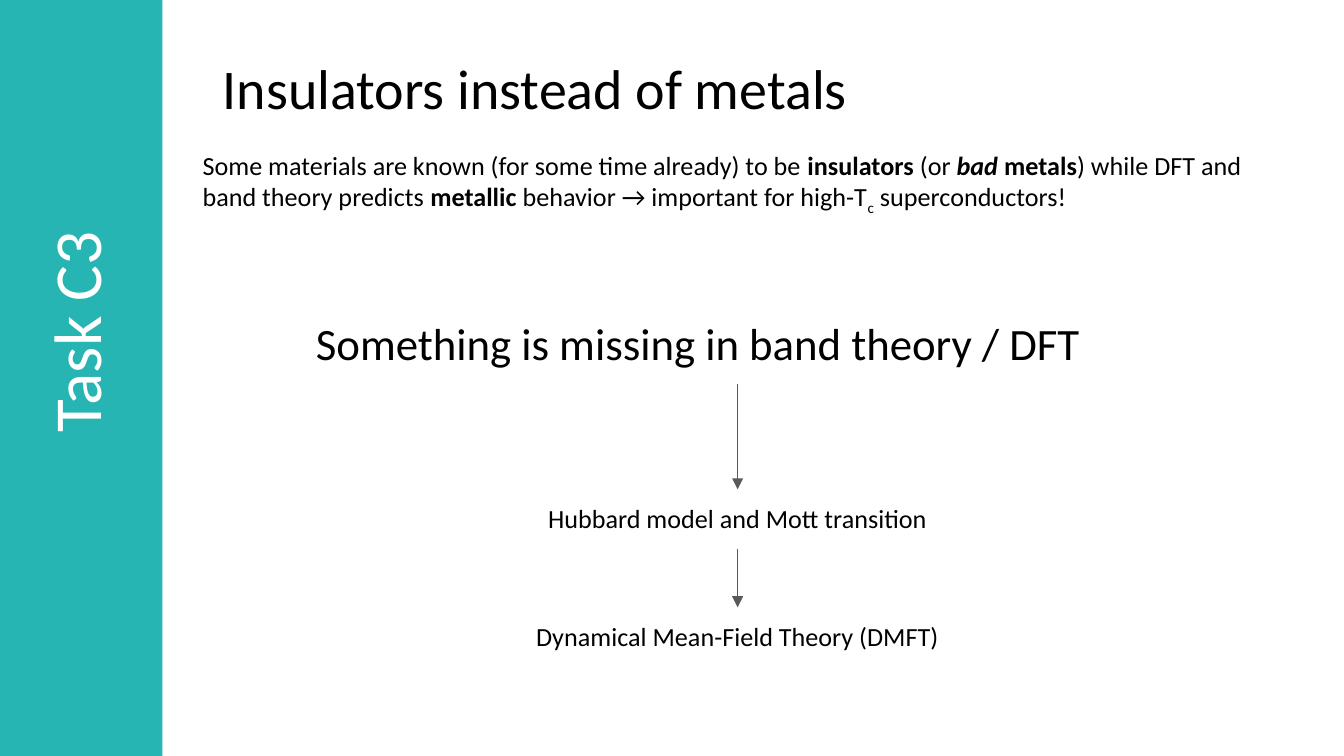
from lxml import etree
from pptx import Presentation
from pptx.dml.color import RGBColor
from pptx.enum.shapes import MSO_CONNECTOR, MSO_SHAPE
from pptx.enum.text import MSO_ANCHOR, PP_ALIGN
from pptx.oxml.ns import qn
from pptx.util import Cm, Pt

RECTANGLE = MSO_SHAPE.RECTANGLE
STRAIGHT = MSO_CONNECTOR.STRAIGHT
MIDDLE = MSO_ANCHOR.MIDDLE
LEFT, CENTER = PP_ALIGN.LEFT, PP_ALIGN.CENTER

COLORS = {"band": "27B5B3", "label": "FFFFFF", "text": "000000", "arrow": "595959"}
FONT = "Calibri"
SLIDE_WIDTH, SLIDE_HEIGHT = 25.4, 14.29
INSET = 0.25

# Run formats
PLAIN = {}
BOLD = {"bold": True}
BOLD_ITALIC = {"bold": True, "italic": True}
SUBSCRIPT = "-25000"

INTRO = [
    ("Some materials are known (for some time already) to be ", PLAIN),
    ("insulators ", BOLD),
    ("(or ", PLAIN),
    ("bad", BOLD_ITALIC),
    (" metals", BOLD),
    (") while DFT and band theory predicts ", PLAIN),
    ("metallic", BOLD),
    (" behavior → important for high-T", PLAIN),
    ("c", SUBSCRIPT),
    (" superconductors!", PLAIN),
]

# Reasoning chain: centre line, and each step's text, width and top
CHAIN_X = 13.94
STEP_HEIGHT = 1.12
STEPS = [
    ("Hubbard model and Mott transition", 8.28, 9.25),
    ("Dynamical Mean-Field Theory (DMFT)", 8.51, 11.48),
]


def color(name):
    return RGBColor.from_string(COLORS[name])


def add_run(paragraph, text, size, ink, style):
    run = paragraph.add_run()
    run.text = text
    run.font.color.rgb = color(ink)
    formats = {"name": FONT, "size": Pt(size)}
    if style == SUBSCRIPT:
        run._r.get_or_add_rPr().set("baseline", SUBSCRIPT)
    else:
        formats.update(style)
    for attribute, value in formats.items():
        setattr(run.font, attribute, value)


def add_text(slide, box, runs, size, align=LEFT, ink="text", inset=INSET):
    shape = slide.shapes.add_textbox(*map(Cm, box))
    frame = shape.text_frame
    frame.word_wrap = True
    for side in ("left", "top", "right", "bottom"):
        setattr(frame, f"margin_{side}", Cm(inset))
    paragraph = frame.paragraphs[0]
    paragraph.alignment = align
    for text, style in runs:
        add_run(paragraph, text, size, ink, style)
    return shape


def add_side_band(slide):
    band = slide.shapes.add_shape(RECTANGLE, 0, 0, Cm(3.07), Cm(SLIDE_HEIGHT))
    band.shadow.inherit = False
    band.fill.solid()
    band.fill.fore_color.rgb = color("band")
    band.line.fill.background()

    task = add_text(slide, (-3.86, 4.9, 10.74, 2.46), [("Task C3 ", PLAIN)],
                    36, CENTER, "label", 0.1)
    task.rotation = 270
    task.text_frame.vertical_anchor = MIDDLE
    task.text_frame.paragraphs[0].line_spacing = 0.9


def add_down_arrow(slide, top, bottom):
    arrow = slide.shapes.add_connector(
        STRAIGHT, Cm(CHAIN_X), Cm(top), Cm(CHAIN_X), Cm(bottom))
    arrow.line.color.rgb = color("arrow")
    arrow.line.width = Pt(0.75)
    etree.SubElement(arrow.line._get_or_add_ln(), qn("a:tailEnd"), type="triangle")
    etree.SubElement(arrow._element.spPr, qn("a:effectLst"))


def main():
    presentation = Presentation()
    presentation.slide_width = Cm(SLIDE_WIDTH)
    presentation.slide_height = Cm(SLIDE_HEIGHT)
    slide = presentation.slides.add_slide(presentation.slide_layouts[6])

    # Side band with the task label
    add_side_band(slide)

    # Title and introduction
    add_text(slide, (3.96, 0.76, 15.06, 1.8),
             [("Insulators instead of metals", PLAIN)], 30)
    add_text(slide, (3.58, 2.57, 20.75, 1.7), INTRO, 14)

    # Problem statement, then the steps that follow from it
    problem_top, problem_height = 5.71, 1.55
    add_text(slide, (5.72, problem_top, 16.46, problem_height),
             [("Something is missing in band theory / DFT", PLAIN)], 24)
    arrow_top = problem_top + problem_height
    for text, width, top in STEPS:
        add_down_arrow(slide, arrow_top, top)
        add_text(slide, (CHAIN_X - width / 2, top, width, STEP_HEIGHT),
                 [(text, PLAIN)], 14, CENTER)
        arrow_top = top + STEP_HEIGHT

    presentation.save("out.pptx")


if __name__ == "__main__":
    main()
